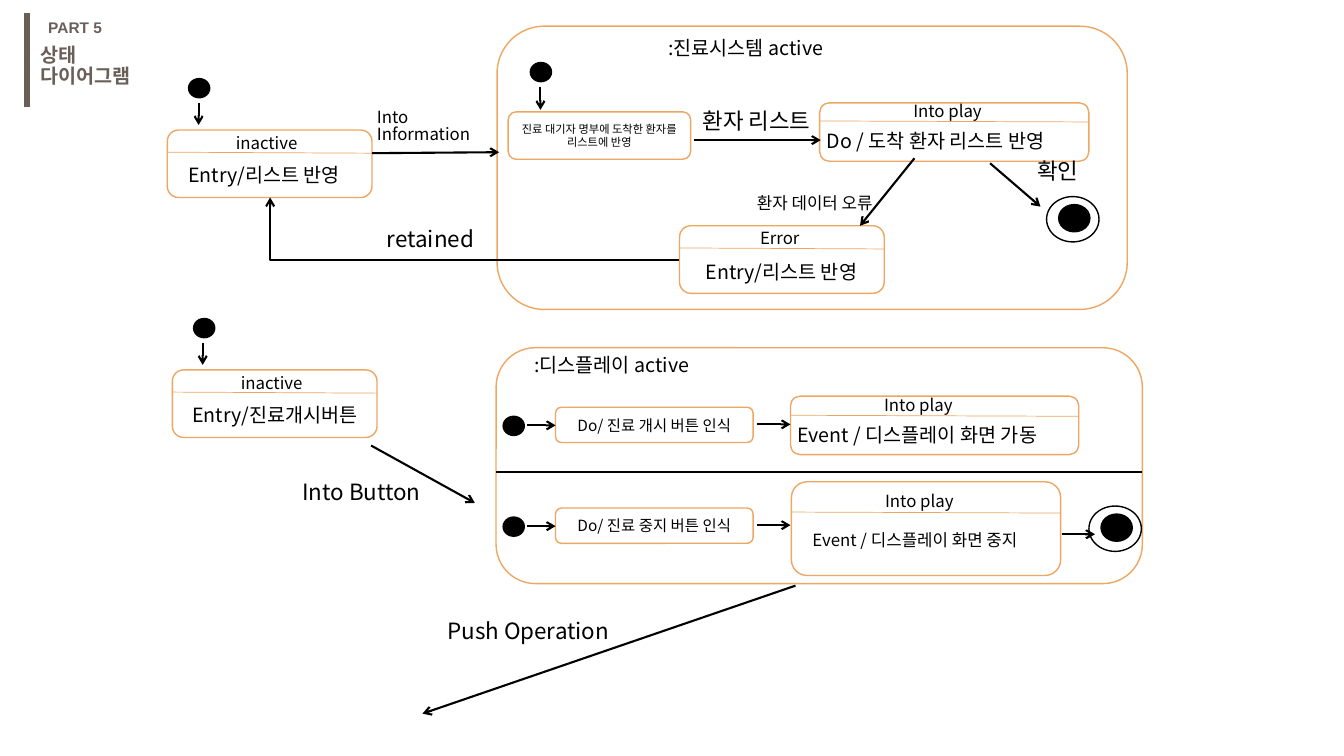
from dataclasses import dataclass
from typing import NamedTuple

from lxml.etree import SubElement
from pptx import Presentation
from pptx.dml.color import RGBColor as Rgb
from pptx.enum.shapes import MSO_CONNECTOR as Link, MSO_SHAPE as Kind
from pptx.enum.text import MSO_ANCHOR as Anchor, MSO_AUTO_SIZE as Fit, PP_ALIGN as Align
from pptx.oxml.ns import qn
from pptx.util import Emu, Pt

PX = 9144  # 100 px to the inch


@dataclass(frozen=True)
class Theme:
    ink: str = "000000"
    paper: str = "FFFFFF"
    edge: str = "EDA762"
    brown: str = "6A5F58"
    font: str = "Noto Sans CJK KR"
    latin: str = "Arial"
    tiny: int = 8
    small: int = 11
    label: int = 12
    body: int = 14
    large: int = 16
    hair: float = 0.5
    thin: float = 1
    flow: float = 1.5
    bar: float = 4.5


class Box(NamedTuple):
    x: int
    y: int
    w: int
    h: int


class Note(NamedTuple):
    text: str
    box: Box
    size: int


class State(NamedTuple):
    box: Box
    rule: int
    head: Note
    body: Note


class Step(NamedTuple):
    text: str
    box: Box
    size: int
    font: str


class Line(NamedTuple):
    x1: int
    y1: int
    x2: int
    y2: int


T = Theme()

# Content
TITLE = Note("상태\n다이어그램", Box(30, 41, 137, 58), T.body)
PART = Note("PART 5", Box(38, 13, 75, 29), T.small)
PANELS = [Box(493, 26, 625, 281), Box(492, 345, 641, 234)]
STATES = [
    State(Box(166, 129, 203, 67), 22, Note("inactive", Box(224, 127, 110, 30), T.label),
          Note("Entry/리스트 반영", Box(177, 157, 205, 34), T.body)),
    State(Box(674, 224, 203, 67), 22, Note("Error", Box(744, 221, 110, 30), T.label),
          Note("Entry/리스트 반영", Box(690, 253, 205, 34), T.body)),
    State(Box(171, 367, 203, 67), 22, Note("inactive", Box(229, 365, 110, 30), T.label),
          Note("Entry/진료개시버튼", Box(181, 395, 205, 34), T.body)),
    State(Box(784, 393, 286, 58), 19, Note("Into play", Box(867, 387, 103, 30), T.label),
          Note("Event / 디스플레이 화면 가동", Box(781, 415, 325, 34), T.body)),
    State(Box(785, 478, 267, 93), 30, Note("Into play", Box(868, 482, 103, 30), T.label),
          Note("Event / 디스플레이 화면 중지", Box(796, 521, 325, 30), T.label)),
    State(Box(813, 102, 267, 58), 18, Note("Into play", Box(896, 95, 103, 30), T.label),
          Note("Do / 도착 환자 리스트 반영", Box(810, 123, 325, 34), T.body)),
]
STEPS = [
    Step("진료 대기자 명부에 도착한 환자를 리스트에 반영", Box(504, 111, 181, 47), T.tiny, T.latin),
    Step("Do/ 진료 개시 버튼 인식", Box(551, 404, 196, 35), T.small, T.font),
    Step("Do/ 진료 중지 버튼 인식", Box(551, 504, 196, 35), T.small, T.font),
]
NOTES = [
    Note(":진료시스템 active", Box(653, 31, 186, 34), T.body),
    Note(":디스플레이 active", Box(520, 345, 186, 34), T.body),
    Note("환자 리스트", Box(687, 101, 143, 37), T.large),
    Note("확인", Box(1019, 151, 143, 37), T.large),
    Note("환자 데이터 오류", Box(741, 186, 143, 30), T.label),
    Note("retained", Box(374, 218, 143, 37), T.large),
    Note("Into Button", Box(290, 469, 143, 37), T.large),
    Note("Push Operation", Box(434, 607, 180, 37), T.large),
]
HINT = Note("Into Information", Box(364, 104, 140, 50), T.label)
STARTS = [(187, 78), (526, 62), (192, 316), (499, 413), (499, 513)]
ENDS = [(1038, 195), (1080, 502)]
ARROWS = [
    Line(197, 102, 197, 124), Line(536, 86, 536, 109), Line(201, 340, 201, 362),
    Line(369, 152, 495, 151), Line(688, 139, 814, 139), Line(982, 162, 1032, 205),
    Line(907, 157, 853, 224), Line(368, 442, 471, 499),
    Line(523, 422, 551, 422), Line(751, 421, 784, 421),
    Line(523, 522, 551, 522), Line(751, 521, 784, 521),
    Line(1053, 530, 1086, 530), Line(789, 581, 419, 708),
]

deck = Presentation()
deck.slide_width, deck.slide_height = Emu(1333 * PX), Emu(750 * PX)
slide = deck.slides.add_slide(deck.slide_layouts[5])


# Drawing
def scale(nums: tuple) -> list[Emu]:
    return [Emu(n * PX) for n in nums]


def write(frame, text: str, *, size: int, font: str = T.font, color: str = T.ink,
          bold: bool = False, align=Align.LEFT, anchor=Anchor.TOP,
          wrap: bool = True, pitch: float = 1.0) -> None:
    frame.word_wrap, frame.auto_size = wrap, Fit.NONE
    frame.vertical_anchor = anchor
    para = frame.paragraphs[0]
    para.alignment, para.line_spacing = align, pitch
    for i, part in enumerate(text.splitlines()):
        if i:
            para.add_line_break()
        run = para.add_run()
        run.text = part
        run.font.name, run.font.size, run.font.bold = font, Pt(size), bold
        run.font.color.rgb = Rgb.from_string(color)
        SubElement(run.font._element, qn("a:ea"), typeface=T.font)


def note(item: Note, **style) -> None:
    frame = slide.shapes.add_textbox(*scale(item.box)).text_frame
    write(frame, item.text, size=item.size, **style)


def shape(kind: Kind, box: Box, fill: str, edge: str):
    item = slide.shapes.add_shape(kind, *scale(box))
    item.shadow.inherit = False
    item.fill.solid()
    item.fill.fore_color.rgb = Rgb.from_string(fill)
    item.line.color.rgb = Rgb.from_string(edge)
    item.line.width = Pt(T.thin)
    return item


def frame(box: Box):
    return shape(Kind.FLOWCHART_ALTERNATE_PROCESS, box, T.paper, T.edge)


def line(ends: Line, color: str = T.ink, width: float = T.flow,
         arrow: bool = False, bent: bool = False) -> None:
    item = slide.shapes.add_connector(Link.ELBOW if bent else Link.STRAIGHT, *scale(ends))
    item.line.color.rgb = Rgb.from_string(color)
    item.line.width = Pt(width)
    props = item._element.spPr
    if bent:
        props.find(qn("a:prstGeom")).set("prst", "bentConnector2")
    if arrow:
        SubElement(props.find(qn("a:ln")), qn("a:tailEnd"), type="arrow")
    SubElement(props, qn("a:effectLst"))


def state(item: State) -> None:
    box = item.box
    frame(box)
    top = box.y + item.rule
    line(Line(box.x, top, box.x + box.w, top + 1), T.edge, T.hair)
    note(item.head)
    note(item.body)


def step(item: Step) -> None:
    write(frame(item.box).text_frame, item.text, size=item.size, font=item.font,
          align=Align.CENTER, anchor=Anchor.MIDDLE)


def final(x: int, y: int) -> None:
    shape(Kind.OVAL, Box(x, y, 52, 45), T.paper, T.ink)
    shape(Kind.OVAL, Box(x + 12, y + 8, 31, 27), T.ink, T.ink)


def main() -> None:
    # Heading
    title = slide.shapes.title
    title.left, title.top, title.width, title.height = scale(TITLE.box)
    write(title.text_frame, TITLE.text, size=TITLE.size, color=T.brown, bold=True, pitch=0.88)
    line(Line(27, 13, 27, 106), T.brown, T.bar)
    note(PART, font=T.latin, color=T.brown, bold=True, wrap=False)

    # Panels and states
    for box in PANELS:
        frame(box)
    line(Line(492, 468, 1133, 468))
    for item in STATES:
        state(item)
    for item in STEPS:
        step(item)

    # Start and end marks
    for x, y in STARTS:
        shape(Kind.OVAL, Box(x, y, 21, 19), T.ink, T.ink)
    for x, y in ENDS:
        final(x, y)

    # Flows and their labels
    for ends in ARROWS:
        line(ends, arrow=True)
    line(Line(674, 258, 268, 196), arrow=True, bent=True)
    for item in NOTES:
        note(item)
    note(HINT, pitch=0.85)

    deck.save("out.pptx")


if __name__ == "__main__":
    main()
